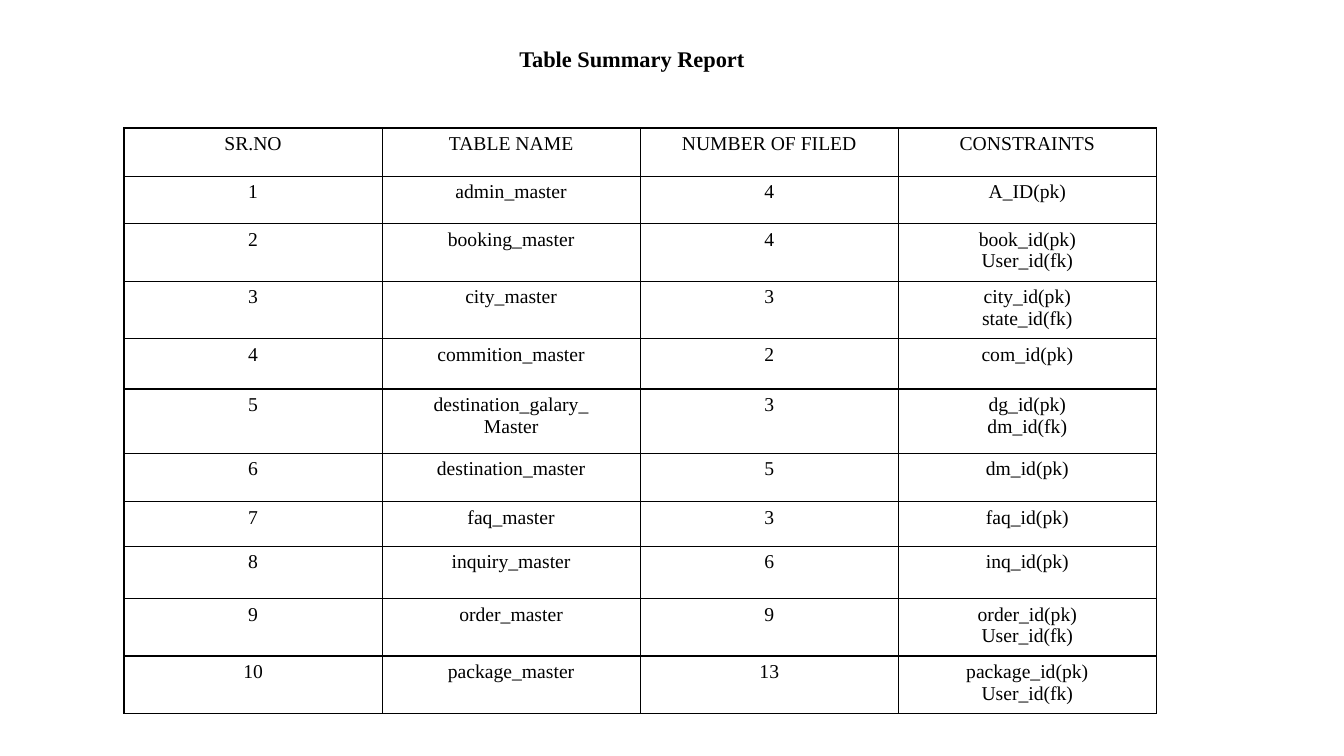
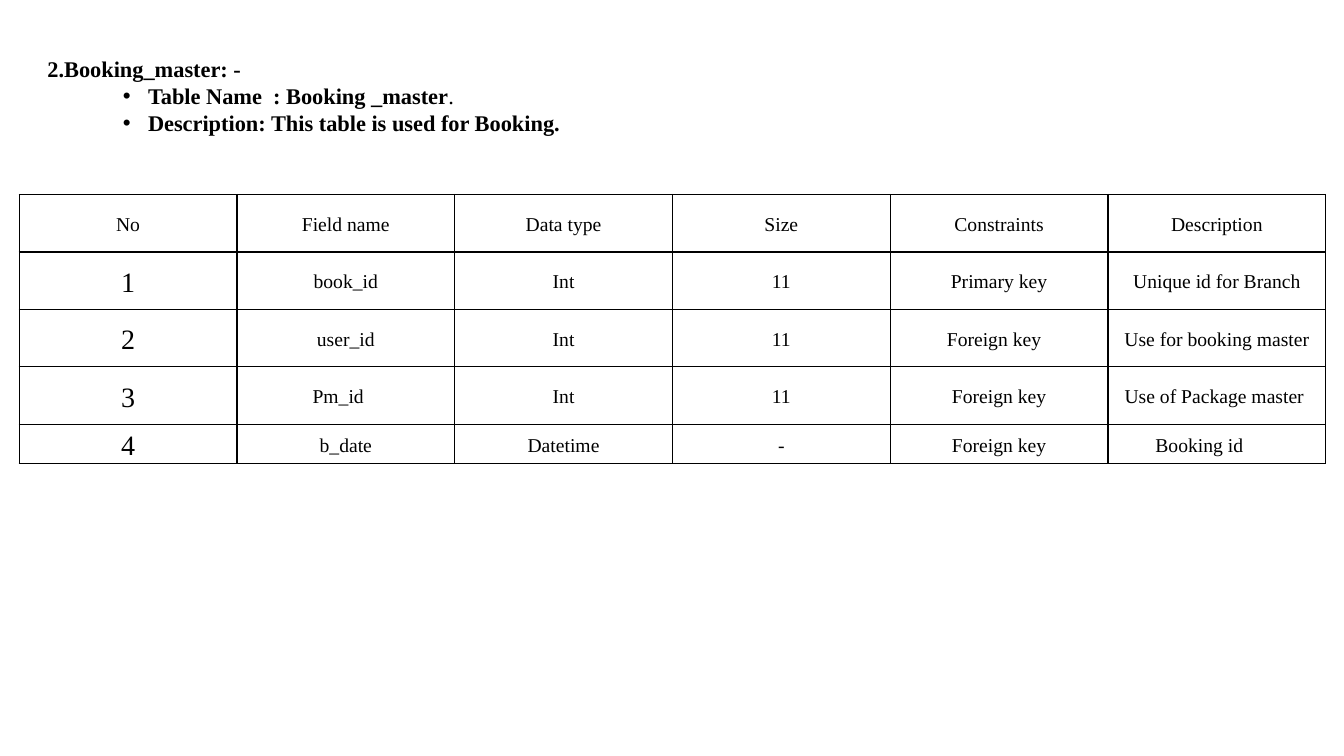
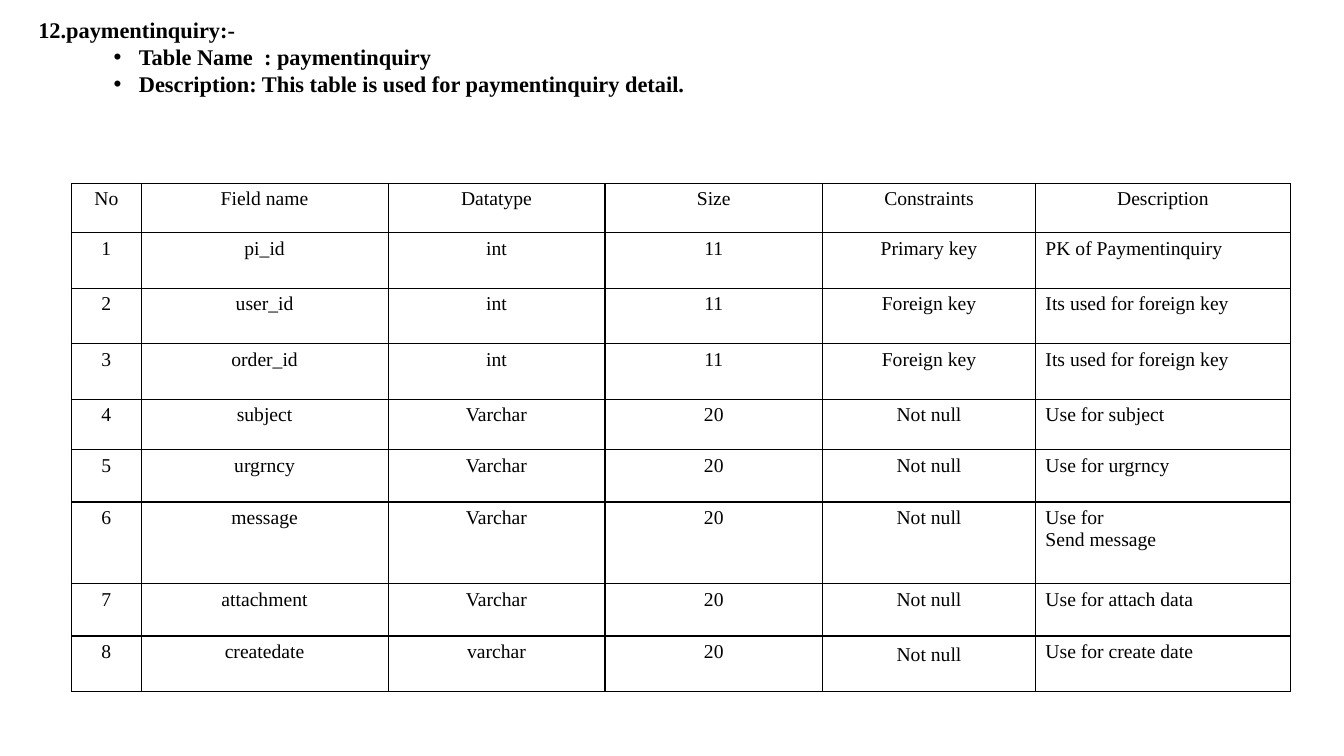
from pptx import Presentation
from pptx import util as u
from pptx.dml.color import RGBColor
from pptx.enum import text
from pptx.oxml import parse_xml
from pptx.oxml.ns import nsdecls

BLACK = RGBColor(0, 0, 0)
WHITE = RGBColor(255, 255, 255)
LEFT, CENTER = text.PP_ALIGN.LEFT, text.PP_ALIGN.CENTER
TOP, MIDDLE = text.MSO_ANCHOR.TOP, text.MSO_ANCHOR.MIDDLE
HEADING = {"name": "Times New Roman", "size": u.Pt(16), "bold": True}
CELL = {"name": "Times New Roman", "size": u.Pt(14), "bold": False}
BULLET = '<a:buFont %s typeface="Arial"/>', '<a:buChar %s char="•"/>'
BORDER = ('<a:{side} %s w="12700"><a:solidFill><a:srgbClr val="{color}"/>'
          '</a:solidFill></a:{side}>' % nsdecls("a"))


def format_text(frame, style, align):
    for paragraph in frame.paragraphs:
        paragraph.alignment = align
        for run in paragraph.runs:
            for name, value in style.items():
                setattr(run.font, name, value)
            run.font.color.rgb = BLACK


def add_grid(slide, left, top, columns, heights, rows):
    grid = slide.shapes.add_table(
        len(rows), len(columns), u.Inches(left), u.Inches(top),
        u.Inches(sum(columns)), u.Inches(sum(heights))).table
    grid.first_row = grid.horz_banding = False
    for column, width in zip(grid.columns, columns):
        column.width = u.Inches(width)
    for row, height, values in zip(grid.rows, heights, rows):
        row.height = u.Inches(height)
        for cell, value in zip(row.cells, values):
            cell.text = value
            format_text(cell.text_frame, CELL, CENTER)
            borders = cell._tc.get_or_add_tcPr()
            for side in ("lnL", "lnR", "lnT", "lnB"):
                borders.append(parse_xml(BORDER.format(side=side, color=BLACK)))
            cell.fill.solid()
            cell.fill.fore_color.rgb = WHITE
    return grid


# Content: heading, its place and its bullets (each a list of bold and plain parts)
pages = [
    ("Table Summary Report", 5.05, 0.4, 3.87, []),
    ("2.Booking_master: -", 0.37, 0.5, 12.36,
     [("Table Name  : Booking _master", "."),
      ("Description: This table is used for Booking.",)]),
    ("12.paymentinquiry:-", 0.28, 0.11, 6.67,
     [("Table Name  : paymentinquiry",),
      ("Description: This table is used for paymentinquiry detail.",)]),
]

summary_rows = [
    ("SR.NO", "TABLE NAME", "NUMBER OF FILED", "CONSTRAINTS"),
    ("1", "admin_master", "4", "A_ID(pk)"),
    ("2", "booking_master", "4", "book_id(pk)\nUser_id(fk)"),
    ("3", "city_master", "3", "city_id(pk)\nstate_id(fk)"),
    ("4", "commition_master", "2", "com_id(pk)"),
    ("5", "destination_galary_\nMaster", "3", "dg_id(pk)\ndm_id(fk)"),
    ("6", "destination_master", "5", "dm_id(pk)"),
    ("7", "faq_master", "3", "faq_id(pk)"),
    ("8", "inquiry_master", "6", "inq_id(pk)"),
    ("9", "order_master", "9", "order_id(pk)\nUser_id(fk)"),
    ("10", "package_master", "13", "package_id(pk)\nUser_id(fk)"),
]
booking_rows = [
    ("No", "Field name", "Data type", "Size", "Constraints", "Description"),
    ("1", "book_id", "Int", "11", "Primary key", "Unique id for Branch"),
    ("2", "user_id", "Int", "11", "Foreign key", "Use for booking master"),
    ("3", "Pm_id", "Int", "11", "Foreign key", "Use of Package master"),
    ("4", "b_date", "Datetime", "-", "Foreign key", "Booking id"),
]
payment_rows = [
    ("No", "Field name", "Datatype", "Size", "Constraints", "Description"),
    ("1", "pi_id", "int", "11", "Primary key", "PK of Paymentinquiry"),
    ("2", "user_id", "int", "11", "Foreign key", "Its used for foreign key"),
    ("3", "order_id", "int", "11", "Foreign key", "Its used for foreign key"),
    ("4", "subject", "Varchar", "20", "Not null", "Use for subject"),
    ("5", "urgrncy", "Varchar", "20", "Not null", "Use for urgrncy"),
    ("6", "message", "Varchar", "20", "Not null", "Use for\nSend message"),
    ("7", "attachment", "Varchar", "20", "Not null", "Use for attach data"),
    ("8", "createdate", "varchar", "20", "Not null", "Use for create date"),
]

prs = Presentation()
prs.slide_width, prs.slide_height = u.Inches(13.33), u.Inches(7.5)

# Headings and bullets
slides = []
for heading, left, top, width, bullets in pages:
    slide = prs.slides.add_slide(prs.slide_layouts[5])
    slides.append(slide)
    title = slide.shapes.title
    title.left, title.top = u.Inches(left), u.Inches(top)
    title.width, title.height = u.Inches(width), u.Inches(0.37)
    title.text = heading
    title.text_frame.auto_size = text.MSO_AUTO_SIZE.NONE
    title.text_frame.vertical_anchor = TOP
    format_text(title.text_frame, HEADING, LEFT)
    if not bullets:
        continue
    details = slide.shapes.add_textbox(
        u.Inches(left), u.Inches(top + 0.27), u.Inches(width), u.Inches(0.64)).text_frame
    details.word_wrap = True
    for index, parts in enumerate(bullets):
        line = details.paragraphs[0] if index == 0 else details.add_paragraph()
        for part in parts:
            line.add_run().text = part
        properties = line._p.get_or_add_pPr()
        properties.set("marL", str(u.Inches(1)))
        properties.set("indent", str(u.Inches(-0.25)))
        for mark in BULLET:
            properties.append(parse_xml(mark % nsdecls("a")))
    format_text(details, HEADING, LEFT)
    for line in details.paragraphs:
        for run in line.runs[1:]:
            run.font.bold = False

summary_slide, booking_slide, payment_slide = slides

# Summary of all tables
add_grid(summary_slide, 1.23, 1.27, [2.56] * 4,
         [0.48, 0.47, 0.57, 0.57, 0.5, 0.64, 0.48, 0.44, 0.52, 0.57, 0.57],
         summary_rows)

# Booking fields: centred vertically, with large row numbers
booking = add_grid(booking_slide, 0.19, 1.93, [2.16] * 6, [0.57] * 4 + [0.39], booking_rows)
for cell in booking.iter_cells():
    cell.vertical_anchor = MIDDLE
    cell.margin_left = cell.margin_right = u.Inches(0.07)
    cell.margin_top = cell.margin_bottom = 0
    cell.text_frame.paragraphs[0].line_spacing = 1.15
for row in range(1, len(booking_rows)):
    booking.cell(row, 0).text_frame.paragraphs[0].runs[0].font.size = u.Pt(20)
for row, column, align, side, indent in [
        (2, 4, CENTER, "marR", 0.1), (3, 5, CENTER, "marR", 0.05),
        (3, 1, LEFT, "marL", 0.68), (4, 5, LEFT, "marL", 0.4)]:
    line = booking.cell(row, column).text_frame.paragraphs[0]
    line.alignment = align
    line._p.get_or_add_pPr().set(side, str(u.Inches(indent)))

# Payment inquiry fields: descriptions aligned left
payment = add_grid(payment_slide, 0.71, 1.82, [0.69, 2.45, 2.15, 2.16, 2.11, 2.53],
                   [0.49, 0.55, 0.55, 0.55, 0.5, 0.52, 0.81, 0.52, 0.55], payment_rows)
for row in range(1, len(payment_rows)):
    for line in payment.cell(row, 5).text_frame.paragraphs:
        line.alignment = LEFT
payment.cell(8, 4).text_frame.paragraphs[0].line_spacing = 1.15

prs.save("out.pptx")
